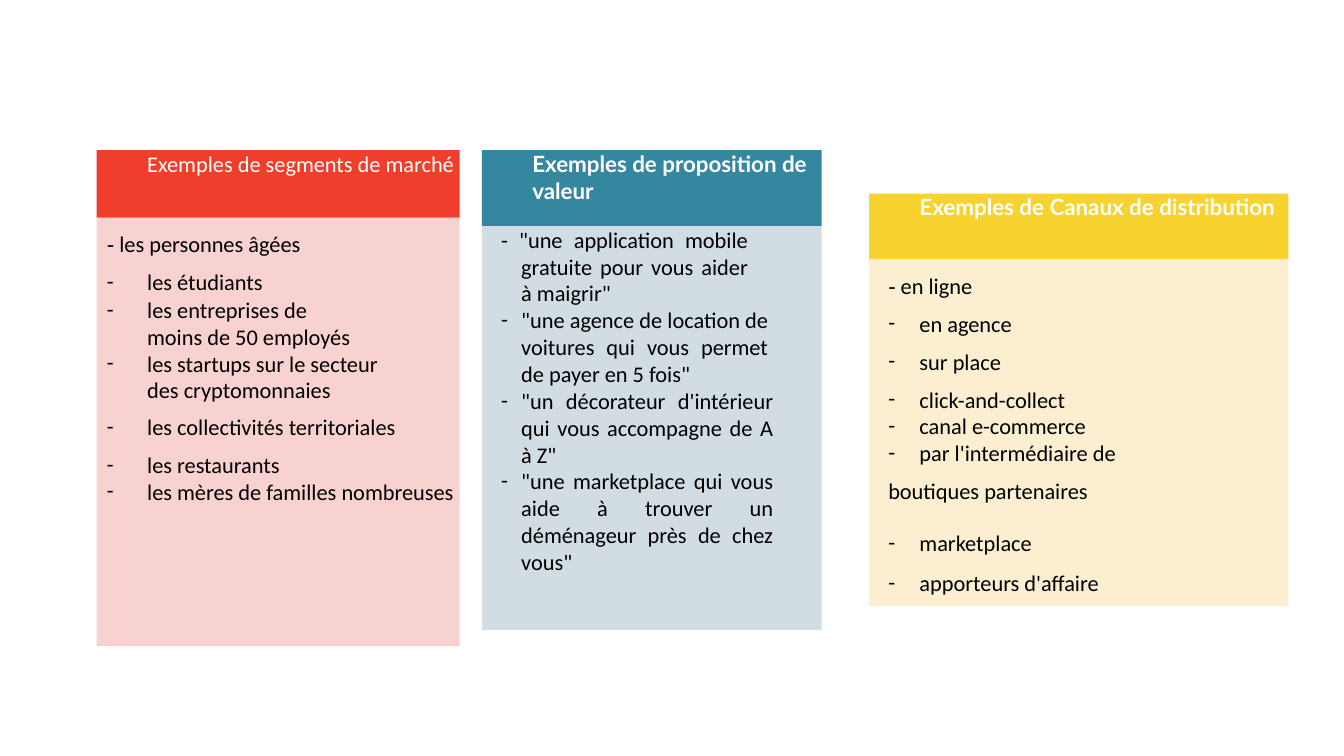
from lxml.etree import SubElement
from pptx import Presentation
from pptx.dml.color import RGBColor
from pptx.enum.shapes import MSO_SHAPE as SHAPE
from pptx.enum.text import MSO_ANCHOR as ANCHOR, PP_ALIGN as ALIGN
from pptx.oxml.ns import qn
from pptx.util import Inches, Pt

BLACK = RGBColor(0x00, 0x00, 0x00)
WHITE = RGBColor(0xFF, 0xFF, 0xFF)
RED = RGBColor(0xEF, 0x3E, 0x2B)
PINK = RGBColor(0xF8, 0xCE, 0xCD)
TEAL = RGBColor(0x34, 0x87, 0x9F)
GREY_BLUE = RGBColor(0xCD, 0xDA, 0xDF)
YELLOW = RGBColor(0xF8, 0xD2, 0x2E)
CREAM = RGBColor(0xFB, 0xED, 0xCD)

SEGMENTS = [
    (" les personnes âgées", dict(lead="-", bullet=False, line=1.48)),
    ("les étudiants", dict(line=1.41)),
    ("les entreprises de moins de 50 employés", dict(before=0.5, right=1.0)),
    ("les startups sur le secteur des cryptomonnaies", dict(right=0.65)),
    ("les collectivités territoriales", dict(line=1.36)),
    ("les restaurants", dict(line=1.41)),
    ("les mères de familles nombreuses", {}),
]
VALUES = [
    ("- \"une application mobile gratuite pour vous aider à maigrir\"",
     dict(bullet=False, right=0.73)),
    ("\"une agence de location de voitures qui vous permet de payer en 5 fois\"",
     dict(right=0.53)),
    ("\"un décorateur d'intérieur qui vous accompagne de A à Z\"", dict(right=0.48)),
    ("\"une marketplace qui vous aide à trouver un déménageur près de chez vous\"",
     dict(right=0.48)),
]
CHANNELS = [
    (" en ligne", dict(lead="-", bullet=False, line=1.48)),
    ("en agence", dict(line=1.41)),
    ("sur place", dict(line=1.42)),
    ("click-and-collect", dict(line=1.41)),
    ("canal e-commerce", {}),
    ("par l'intermédiaire de", {}),
    ("boutiques partenaires", dict(bullet=False, line=1.41, after=10)),
    ("marketplace", dict(line=1.42)),
    ("apporteurs d'affaire", dict(line=1.48)),
]


def write(p, text, lead="", bullet=True, margin=0.5, indent=0, right=0, line=None,
          before=0, after=0, align=ALIGN.LEFT, font="Calibri", color=BLACK, bold=False):
    """Fill a paragraph; lead is a short opening run set in Arial."""
    pPr = p._p.get_or_add_pPr()
    for name, value in (("marL", margin), ("marR", right), ("indent", indent)):
        pPr.set(name, str(int(Inches(value))))
    if bullet:
        SubElement(pPr, qn("a:buFont")).set("typeface", "Calibri")
        SubElement(pPr, qn("a:buChar")).set("char", "-")
    else:
        SubElement(pPr, qn("a:buNone"))
    p.alignment = align
    p.space_before, p.space_after = Pt(before), Pt(after)
    if line:
        p.line_spacing = line
    for part, face in ((lead, "Arial"), (text, font)):
        if part:
            r = p.add_run()
            r.text = part
            r.font.name, r.font.size, r.font.bold = face, Pt(16), bold
            r.font.color.rgb = color


class Board:
    def __init__(self, slide):
        self.slide = slide

    def box(self, x, y, w, h, color, alpha=100):
        """Draw a borderless rectangle and return its text frame."""
        sp = self.slide.shapes.add_shape(
            SHAPE.RECTANGLE, Inches(x), Inches(y), Inches(w), Inches(h))
        sp.shadow.inherit = False
        sp.line.fill.background()
        sp.fill.solid()
        sp.fill.fore_color.rgb = color
        if alpha < 100:
            clr = sp._element.spPr.find(".//" + qn("a:srgbClr"))
            SubElement(clr, qn("a:alpha")).set("val", str(alpha * 1000))
        tf = sp.text_frame
        tf.word_wrap = True
        tf.vertical_anchor = ANCHOR.TOP
        tf.margin_left = tf.margin_top = tf.margin_right = tf.margin_bottom = 0
        return tf

    def card(self, x, y, w, title, items, head_h, body_h, colors, title_format, item_format):
        head_color, body_color = colors
        tf = self.box(x, y + head_h, w, body_h, body_color, alpha=90)
        for i, (text, own_format) in enumerate(items):
            p = tf.add_paragraph() if i else tf.paragraphs[0]
            write(p, text, **item_format, **own_format)
        tf = self.box(x, y, w, head_h, head_color)
        write(tf.paragraphs[0], title, bullet=False, after=10, color=WHITE, **title_format)


def main():
    prs = Presentation()
    prs.slide_width, prs.slide_height = Inches(13.33), Inches(7.5)
    board = Board(prs.slides.add_slide(prs.slide_layouts[6]))
    lato_bold = dict(font="Lato", bold=True)
    board.card(0.96, 1.49, 3.6, "Exemples de segments de marché", SEGMENTS,
               0.67, 4.25, (RED, PINK), {}, dict(indent=-0.4))
    board.card(4.78, 1.49, 3.37, "Exemples de proposition de valeur", VALUES,
               0.75, 4.01, (TEAL, GREY_BLUE), lato_bold,
               dict(margin=0.39, indent=-0.2, align=ALIGN.JUSTIFY))
    board.card(8.62, 1.92, 4.16, "Exemples de Canaux de distribution", CHANNELS,
               0.65, 3.44, (YELLOW, CREAM), lato_bold, dict(indent=-0.31))
    prs.save("out.pptx")


if __name__ == "__main__":
    main()
